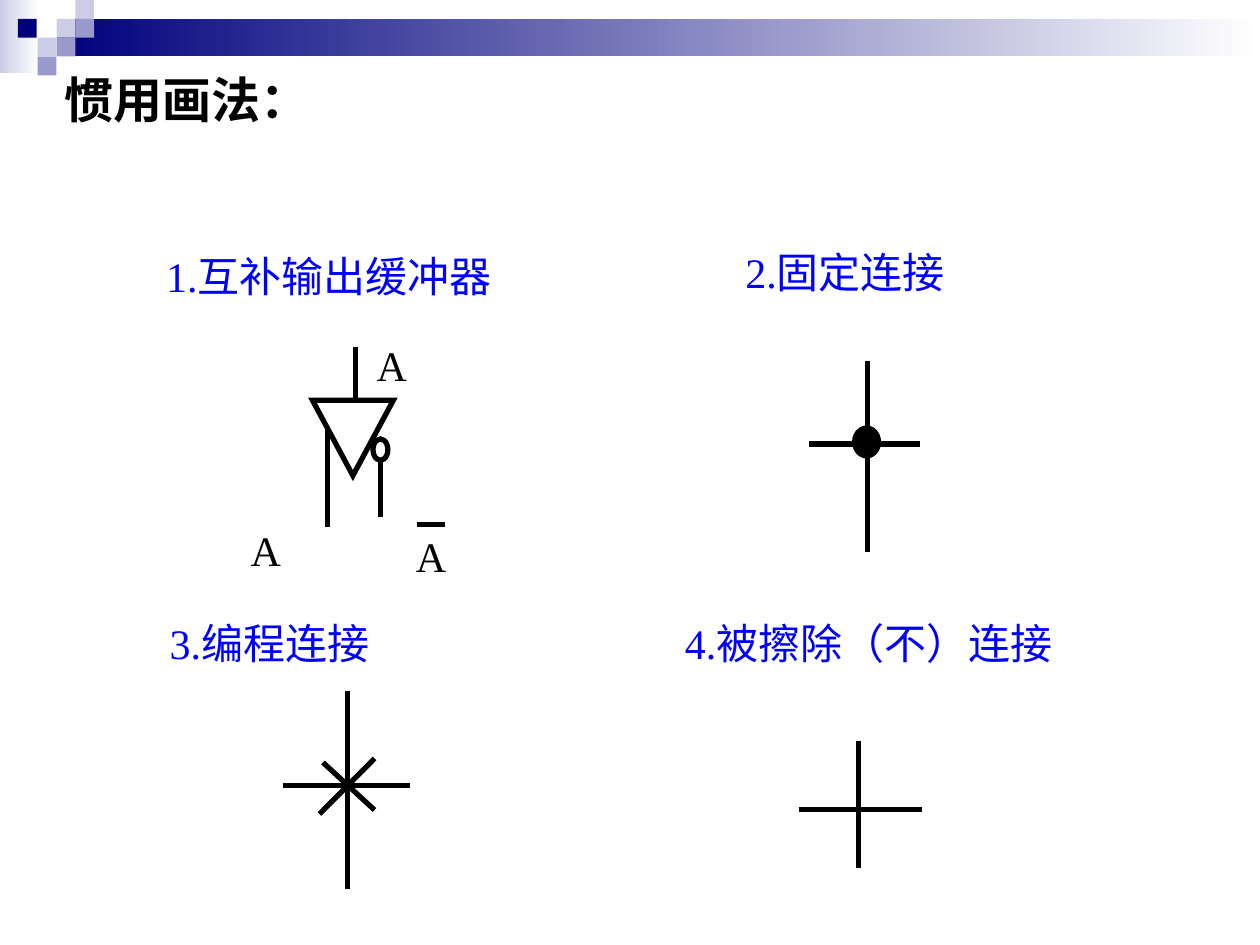
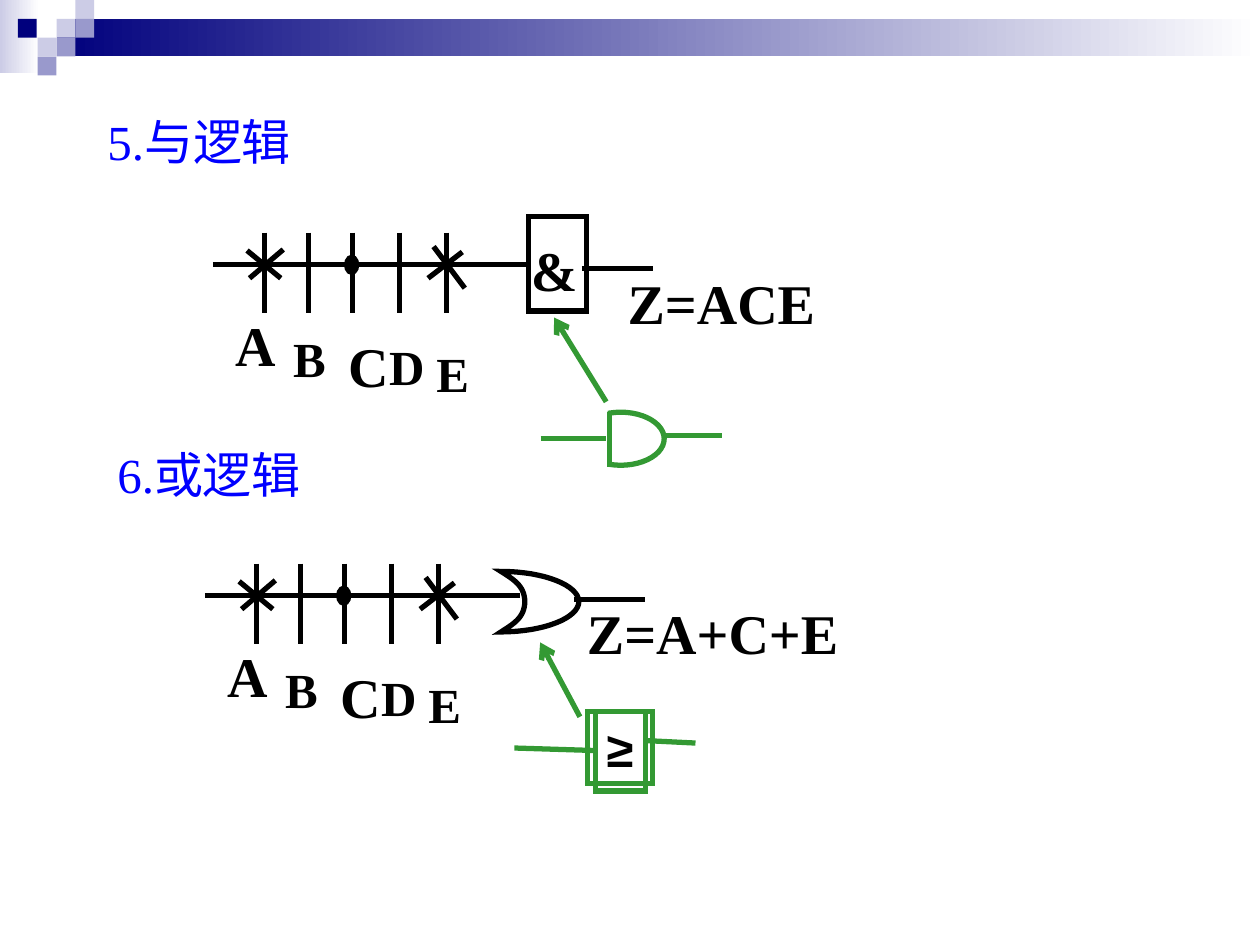
from dataclasses import dataclass
from pptx import Presentation
from pptx.dml.color import RGBColor as Rgb
from pptx.enum.shapes import MSO_CONNECTOR as Link, MSO_SHAPE as Kind
from pptx.enum.text import MSO_ANCHOR as Anchor, MSO_AUTO_SIZE as Fit, PP_ALIGN as Align
from pptx.oxml.ns import qn
from pptx.util import Cm, Pt
from lxml.etree import SubElement as Sub


@dataclass(frozen=True)
class Theme:
    navy: str = "00007D"
    mid: str = "9999CC"
    pale: str = "CCCCE6"
    white: str = "FFFFFF"
    ink: str = "000000"
    blue: str = "0000FF"
    green: str = "339933"
    serif: str = "Times New Roman"
    sans: str = "Arial"
    small: int = 24
    large: int = 28
    huge: int = 32
    stroke: int = 3


LOOK = Theme()


@dataclass
class Box:
    shapes: object
    x: float = 0
    y: float = 0

    def at(self, x, y):
        return Cm(self.x + x), Cm(self.y + y)


def paint(item, fill=None, line=None):
    item.shadow.inherit = False
    if fill:
        item.fill.solid()
        item.fill.fore_color.rgb = Rgb.from_string(fill)
    else:
        item.fill.background()
    if line:
        item.line.color.rgb = Rgb.from_string(line)
        item.line.width = Pt(LOOK.stroke)
        Sub(item.line._get_or_add_ln(), qn("a:miter"), lim="800000")
    else:
        item.line.fill.background()
    return item


def form(box, kind, x, y, w, h, fill=None, line=None):
    item = box.shapes.add_shape(kind, *box.at(x, y), Cm(w), Cm(h))
    return paint(item, fill, line)


def fade(box, x, y, w, h, start):
    item = form(box, Kind.RECTANGLE, x, y, w, h)
    item.fill.gradient()
    item.fill.gradient_angle = 0
    for stop, color in zip(item.fill.gradient_stops, (start, LOOK.white)):
        stop.color.rgb = Rgb.from_string(color)


def rule(box, x1, y1, x2, y2, color=LOOK.ink, arrow=False):
    item = box.shapes.add_connector(Link.STRAIGHT, *box.at(x1, y1), *box.at(x2, y2))
    item.line.color.rgb = Rgb.from_string(color)
    item.line.width = Pt(LOOK.stroke)
    if arrow:
        Sub(item.line._get_or_add_ln(), qn("a:tailEnd"), type="arrow")
    Sub(item._element.spPr, qn("a:effectLst"))


def write(box, text, x, y, w, h, size=LOOK.small, color=LOOK.ink, bold=False,
          font=LOOK.serif, wrap=False, align=Align.CENTER, anchor=Anchor.MIDDLE, line=None):
    if line:
        item = form(box, Kind.RECTANGLE, x, y, w, h, line=line)
    else:
        item = box.shapes.add_textbox(*box.at(x, y), Cm(w), Cm(h))
    frame = item.text_frame
    frame.word_wrap = wrap
    frame.auto_size = Fit.SHAPE_TO_FIT_TEXT
    frame.vertical_anchor = anchor
    para = frame.paragraphs[0]
    para.alignment = align
    para.space_before = Pt(size * 0.625)
    run = para.add_run()
    run.text = text
    run.font.size = Pt(size)
    run.font.name = font
    run.font.bold = bold
    run.font.color.rgb = Rgb.from_string(color)


def frieze(box):
    side = 0.38
    fade(box, 0, 0, 0.79, 1.47, LOOK.pale)
    fade(box, 3 * side, side, 24.26, 2 * side, LOOK.navy)
    tiles = {
        LOOK.pale: ((3, 1), (4, 0), (2, 2)),
        LOOK.mid: ((4, 1), (3, 2), (2, 3)),
        LOOK.navy: ((0.95, 1),),
    }
    for color, cells in tiles.items():
        for col, row in cells:
            form(box, Kind.RECTANGLE, col * side, row * side, side, side, color)


def buffer(box):
    cone = form(box, Kind.ISOSCELES_TRIANGLE, 0, 1.07, 1.63, 1.52, LOOK.white, LOOK.ink)
    cone._element.spPr.get_or_add_xfrm().set("flipV", "1")
    rule(box, 0.86, 0, 0.86, 1.07)
    form(box, Kind.OVAL, 1.22, 1.85, 0.3, 0.43, LOOK.white, LOOK.ink)
    rule(box, 1.37, 2.29, 1.37, 3.43)
    rule(box, 0.3, 1.65, 0.3, 3.63)
    for x, y, w in ((1.04, -0.28, 1.12), (-1.6, 3.45, 1.32), (1.83, 3.56, 1.12)):
        write(box, "A", x, y, w, 1.27)
    rule(box, 2.11, 3.58, 2.67, 3.58)


def cross(box, w, h, mid, level):
    rule(box, mid, 0, mid, h)
    rule(box, 0, level, w, level)


def fixed(box):
    cross(box, 2.24, 3.84, 1.18, 1.67)
    form(box, Kind.OVAL, 0.92, 1.35, 0.48, 0.56, LOOK.ink, LOOK.ink)


def coded(box):
    cross(box, 2.57, 4.01, 1.3, 1.92)
    rule(box, 1.85, 1.37, 0.74, 2.49)
    rule(box, 0.81, 1.45, 1.85, 2.41)


def erased(box):
    cross(box, 2.49, 2.57, 1.2, 1.39)


def inputs(box):
    rule(box, 0, 0.66, 6.35, 0.66)
    rule(box, 7.44, 0.74, 8.87, 0.74)
    for x in (1.04, 1.93, 2.81, 3.76, 4.71):
        rule(box, x, 0.02, x, 1.64)
    for ends in ((0.69, 0.38, 1.37, 0.94), (1.42, 0.36, 0.74, 0.94),
                 (5.03, 0.41, 4.34, 0.94), (4.45, 0.3, 5.08, 1.14)):
        rule(box, *ends)
    form(box, Kind.OVAL, 2.7, 0.52, 0.2, 0.3, LOOK.ink, LOOK.ink)
    for text, x, y, w, size, wrap in (
            ("A", 0.2, 1.45, 1.32, LOOK.huge, False),
            ("B", 1.37, 1.83, 0.94, LOOK.large, True),
            ("C", 2.48, 1.87, 0.97, LOOK.huge, True),
            ("D", 3.3, 1.98, 1.22, LOOK.large, False),
            ("E", 4.25, 2.12, 1.17, LOOK.large, False)):
        high = 1.63 if size == LOOK.huge else 1.45
        write(box, text, x, y, w, high, size=size, bold=True, wrap=wrap)


def curve(start, *ends, steps=16):
    p = (start, *ends)
    for i in range(1, steps + 1):
        t = i / steps
        parts = ((1 - t) ** 3, 3 * t * (1 - t) ** 2, 3 * t * t * (1 - t), t ** 3)
        yield tuple(sum(k * spot[axis] for k, spot in zip(parts, p)) for axis in (0, 1))


def shield(box, x, y):
    w, h, dip = 1.57, 1.22, 0.48
    top, base, notch, tip = (0, 0), (0, h), (dip, h / 2), (w, h / 2)
    arcs = (
        (top, (0.23, 0.15), (dip, 0.28), notch),
        (notch, (dip, 0.94), (0.23, 1.07), base),
        (base, (0.86, h), (w, 0.94), tip),
        (tip, (w, 0.28), (0.86, 0), top),
    )
    spots = [box.at(x + a, y + b) for arc in arcs for a, b in curve(*arc)]
    pen = box.shapes.build_freeform(*box.at(x, y))
    pen.add_line_segments(spots[:-1], close=True)
    paint(pen.convert_to_shape(), line=LOOK.ink)


def and_row(box):
    form(box, Kind.RECTANGLE, 6.37, -0.3, 1.17, 1.9, LOOK.white, LOOK.ink)
    write(box, "&", 6.16, -0.05, 1.45, 1.63, size=LOOK.huge, bold=True)
    inputs(box)
    write(box, "Z=ACE", 7.91, 0.61, 4.69, 1.63, size=LOOK.huge, bold=True)


def or_row(box):
    shield(box, 5.97, 0.18)
    inputs(box)
    write(box, "Z=A+C+E", 7.26, 0.58, 5.96, 1.63, size=LOOK.huge, bold=True)


def and_sign(box):
    form(box, Kind.OVAL, 0.74, 1.91, 1.75, 1.07, line=LOOK.green)
    rule(box, 2.49, 2.38, 3.66, 2.38, LOOK.green)
    form(box, Kind.RECTANGLE, 0.38, 1.7, 0.97, 1.52, LOOK.white)
    rule(box, 0, 2.44, 1.32, 2.44, LOOK.green)
    rule(box, 1.38, 1.9, 1.38, 3.02, LOOK.green)
    rule(box, 1.32, 1.7, 0.27, 0, LOOK.green, arrow=True)


def or_sign(box):
    form(box, Kind.RECTANGLE, 1.65, 1.4, 1, 1.6, LOOK.white, LOOK.green)
    write(box, "≥", 1.49, 1.4, 1.3, 1.45, size=LOOK.large, bold=True,
          font=LOOK.sans, line=LOOK.green)
    rule(box, 2.67, 1.98, 3.66, 2.03, LOOK.green)
    rule(box, 0.01, 2.13, 1.65, 2.18, LOOK.green)
    rule(box, 1.33, 1.5, 0.53, 0, LOOK.green, arrow=True)


def symbols(shapes):
    page = Box(shapes)
    frieze(page)
    write(page, "惯用画法：", 1.05, 1.27, 22.66, 1.45, size=LOOK.large, bold=True,
          wrap=True, align=Align.LEFT, anchor=Anchor.TOP)
    for text, x, y, w, draw, left, top in (
            ("1.互补输出缓冲器", 2.8, 4.93, 7.66, buffer, 6.3, 7),
            ("2.固定连接", 14.48, 4.85, 5.12, fixed, 16.31, 7.28),
            ("3.编程连接", 2.87, 12.32, 5.12, coded, 5.7, 13.92),
            ("4.被擦除（不）连接", 13.26, 12.32, 8.5, erased, 16.1, 14.93)):
        write(page, text, x, y, w, 1.27, color=LOOK.blue)
        draw(Box(shapes, left, top))


def logic(shapes):
    page = Box(shapes)
    frieze(page)
    for text, x, y in (("5.与逻辑", 1.59, 2.12), ("6.或逻辑", 1.79, 8.82)):
        write(page, text, x, y, 4.85, 1.45, size=LOOK.large, color=LOOK.blue)
    for draw, x, y in ((and_row, 4.29, 4.67), (or_row, 4.13, 11.34),
                       (and_sign, 10.9, 6.4), (or_sign, 10.36, 12.95)):
        draw(Box(shapes, x, y))


def main():
    deck = Presentation()
    deck.slide_width, deck.slide_height = Cm(25.4), Cm(19.05)
    for build in (symbols, logic):
        build(deck.slides.add_slide(deck.slide_layouts[6]).shapes)
    deck.save("out.pptx")


if __name__ == "__main__":
    main()
